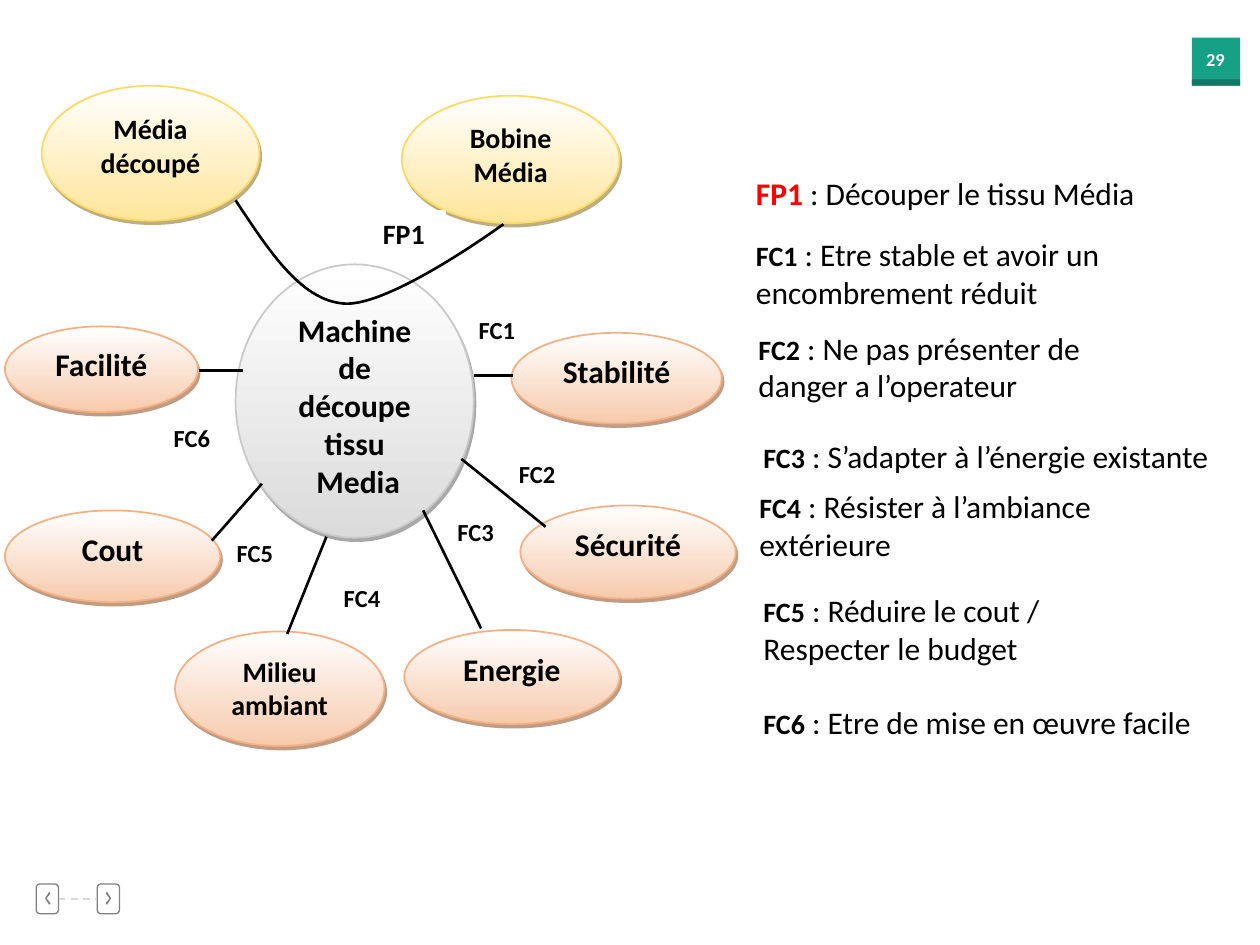
from lxml.etree import SubElement
from pptx import Presentation
from pptx.dml.color import RGBColor
from pptx.enum.dml import MSO_LINE
from pptx.enum.shapes import MSO_CONNECTOR, MSO_SHAPE
from pptx.enum.text import MSO_ANCHOR, MSO_AUTO_SIZE, PP_ALIGN
from pptx.oxml.ns import qn
from pptx.util import Cm, Pt

BLACK = RGBColor(0x00, 0x00, 0x00)
WHITE = RGBColor(0xFF, 0xFF, 0xFF)
RED = RGBColor(0xFF, 0x00, 0x00)
GREY = RGBColor(0x80, 0x80, 0x80)
PALE_GREY = RGBColor(0xD9, 0xD9, 0xD9)
TEAL = RGBColor(0x16, 0xA0, 0x85)
DARK_TEAL = RGBColor(0x10, 0x78, 0x64)

# Ellipse themes: gradient end, outline, shadow
SILVER = (RGBColor(0xDB, 0xDB, 0xDB), RGBColor(0xC9, 0xC9, 0xC9), RGBColor(0x52, 0x52, 0x52))
ORANGE = (RGBColor(0xF7, 0xCA, 0xAC), RGBColor(0xF4, 0xB0, 0x83), RGBColor(0x82, 0x3B, 0x0B))
GOLD = (RGBColor(0xFF, 0xE5, 0x99), RGBColor(0xFF, 0xD9, 0x66), RGBColor(0x7F, 0x5F, 0x00))


class Diagram:
    font = {"name": "Calibri", "bold": True}

    def __init__(self, slide):
        self.s = slide

    def run(self, p, text, size, color=BLACK, **extra):
        r = p.add_run()
        r.text = text
        for key, value in {**self.font, "size": Pt(size), **extra}.items():
            setattr(r.font, key, value)
        r.font.color.rgb = color

    def paint(self, sp, fill=None, line=None, width=0.75):
        sp.shadow.inherit = False
        if fill is None:
            sp.fill.background()
        else:
            sp.fill.solid()
            sp.fill.fore_color.rgb = fill
        if line is None:
            sp.line.fill.background()
        else:
            sp.line.color.rgb = line
            sp.line.width = Pt(width)

    def shape(self, kind, box, fill=None, line=None):
        sp = self.s.shapes.add_shape(kind, *map(Cm, box))
        self.paint(sp, fill, line)
        return sp

    def label(self, text, box, size):
        sp = self.shape(MSO_SHAPE.RECTANGLE, box, WHITE, WHITE)
        tf = sp.text_frame
        tf.vertical_anchor = MSO_ANCHOR.TOP
        tf.paragraphs[0].alignment = PP_ALIGN.LEFT
        self.run(tf.paragraphs[0], text, size)

    def ellipse(self, lines, box, theme, size=18):
        end, outline, shade = theme
        sp = self.shape(MSO_SHAPE.OVAL, box, end, outline)
        sp.line.width = Pt(1)
        sp.fill.gradient()
        sp.fill.gradient_angle = 270
        for stop, position, color in zip(sp.fill.gradient_stops, (0, 1), (WHITE, end)):
            stop.position = position
            stop.color.rgb = color
        # Hard offset shadow
        effects = sp._element.spPr.find(qn("a:effectLst"))
        shadow = SubElement(effects, qn("a:outerShdw"), blurRad="0", dist=str(Pt(2.2)),
                            dir=str(63 * 60000), algn="ctr", rotWithShape="0")
        clr = SubElement(shadow, qn("a:srgbClr"), val=str(shade))
        SubElement(clr, qn("a:alpha"), val="50000")
        tf = sp.text_frame
        tf.vertical_anchor = MSO_ANCHOR.TOP
        for i, text in enumerate(lines):
            p = tf.add_paragraph() if i else tf.paragraphs[0]
            p.alignment = PP_ALIGN.CENTER
            self.run(p, text, size)

    def text(self, box, runs, wrap=True, **paragraph):
        tf = self.s.shapes.add_textbox(*map(Cm, box)).text_frame
        tf.word_wrap = wrap
        tf.auto_size = MSO_AUTO_SIZE.SHAPE_TO_FIT_TEXT
        p = tf.paragraphs[0]
        for key, value in paragraph.items():
            setattr(p, key, value)
        for text, fmt in runs:
            self.run(p, text, **fmt)

    def line(self, ends, color=BLACK, width=1.5):
        c = self.s.shapes.add_connector(MSO_CONNECTOR.STRAIGHT, *map(Cm, ends))
        c.line.color.rgb = color
        c.line.width = Pt(width)
        SubElement(c._element.spPr, qn("a:effectLst"))
        return c

    def outline(self, points, close):
        start, *rest = [(Cm(x), Cm(y)) for x, y in points]
        builder = self.s.shapes.build_freeform(*start)
        builder.add_line_segments(rest, close=close)
        return builder.convert_to_shape()

    def curve(self, points):
        """Draw Bézier segments: a start, then three points for each segment."""
        sp = self.outline(points, close=False)
        self.paint(sp, line=BLACK, width=1.5)
        steps = list(sp._element.spPr.iter(qn("a:lnTo")))
        for i in range(0, len(steps), 3):
            bezier = SubElement(steps[i].getparent(), qn("a:cubicBezTo"))
            for step in steps[i:i + 3]:
                bezier.append(step[0])
                step.getparent().remove(step)


def main():
    prs = Presentation()
    prs.slide_width, prs.slide_height = Cm(25.4), Cm(19.05)
    d = Diagram(prs.slides.add_slide(prs.slide_layouts[6]))

    # Navigation: two framed chevrons joined by a dashed line
    chevron = [(1.02, 18.01), (0.94, 18.11), (1.02, 18.21),
               (0.99, 18.24), (0.91, 18.11), (0.99, 17.98)]
    for points in (chevron, [(3.15 - x, y) for x, y in chevron]):
        d.paint(d.outline(points, close=True), GREY)
    back, forward = [d.shape(MSO_SHAPE.ROUNDED_RECTANGLE, (x, 17.82, 0.45, 0.6), line=GREY)
                     for x in (0.73, 1.96)]
    c = d.line((1.18, 18.12, 1.96, 18.12), PALE_GREY, 1)
    c.line.dash_style = MSO_LINE.DASH
    c.begin_connect(back, 3)
    c.end_connect(forward, 1)

    # Page number badge
    d.shape(MSO_SHAPE.RECTANGLE, (24.03, 0.76, 0.97, 0.97), TEAL)
    d.shape(MSO_SHAPE.RECTANGLE, (24.03, 1.6, 0.97, 0.13), DARK_TEAL)
    d.text((23.93, 0.84, 1.14, 0.71), [("29", {"size": 10.5, "color": WHITE})],
           wrap=False, alignment=PP_ALIGN.CENTER)

    # Machine and its surroundings
    d.ellipse(["Machine de découpe", "tissu", " Media"], (4.75, 5.33, 4.8, 5.51), SILVER)
    for text, box, theme, size in [
        ("Facilité", (0.1, 6.58, 3.89, 1.73), ORANGE, 18),
        ("Cout", (0.1, 10.29, 4.34, 1.85), ORANGE, 18),
        ("Milieu ambiant", (3.53, 12.73, 4.22, 2.31), ORANGE, 16),
        ("Energie", (8.15, 12.7, 4.34, 1.9), ORANGE, 18),
        ("Sécurité", (10.49, 10.19, 4.34, 1.88), ORANGE, 18),
        ("Stabilité", (10.31, 6.71, 4.24, 1.83), ORANGE, 18),
        ("Média découpé", (0.84, 1.73, 4.39, 2.72), GOLD, 16),
        ("Bobine Média", (8.1, 1.93, 4.39, 2.57), GOLD, 16),
    ]:
        d.ellipse([text], box, theme, size)

    # Function labels
    d.label("FP1", (7.47, 4.24, 1.5, 0.91), 16)
    for i, (x, y) in enumerate([(9.4, 6.22), (10.21, 9.12), (8.97, 10.29),
                                (6.68, 11.63), (4.52, 10.72), (3.25, 8.41)], 1):
        d.label(f"FC{i}", (x, y, 1.35, 0.69), 14)

    # Links
    d.curve([(4.75, 4.04), (5.41, 5.03), (6.05, 6.05), (6.93, 6.12),
             (7.85, 6.2), (10.15, 4.52), (10.15, 4.52)])
    for ends in [(4.9, 7.47, 4.01, 7.47), (9.3, 9.25, 11, 10.62),
                 (5.28, 9.75, 4.27, 10.9), (8.53, 10.29, 9.7, 12.67),
                 (6.58, 10.82, 5.79, 12.78), (9.55, 7.57, 10.34, 7.57)]:
        d.line(ends)

    # Function descriptions
    principal = {"size": 18, "color": RED}
    constraint = {"size": 16}
    for code, text, box, fmt, spacing in [
        ("FP1", "Découper le tissu Média", (14.99, 3.38, 9.5, 1.8), principal, 1),
        ("FC1", "Etre stable et avoir un encombrement réduit",
         (14.99, 4.62, 7.85, 2.57), constraint, 1),
        ("FC2", "Ne pas présenter de danger a l’operateur",
         (15.04, 6.5, 7.92, 1.8), constraint, 1),
        ("FC3", "S’adapter à l’énergie existante", (15.14, 8.31, 10.16, 2.18), constraint, 1.5),
        ("FC4", "Résister à l’ambiance extérieure", (15.06, 9.7, 7.77, 2.57), constraint, 1),
        ("FC5", "Réduire le cout / Respecter le budget",
         (15.14, 11.79, 8.71, 2.57), constraint, 1),
        ("FC6", "Etre de mise en œuvre facile", (15.14, 13.67, 9.96, 2.18), constraint, 1.5),
    ]:
        d.text(box, [(code, fmt), (f" : {text}", {"size": 18, "bold": False})],
               line_spacing=spacing)

    prs.save("out.pptx")


if __name__ == "__main__":
    main()
